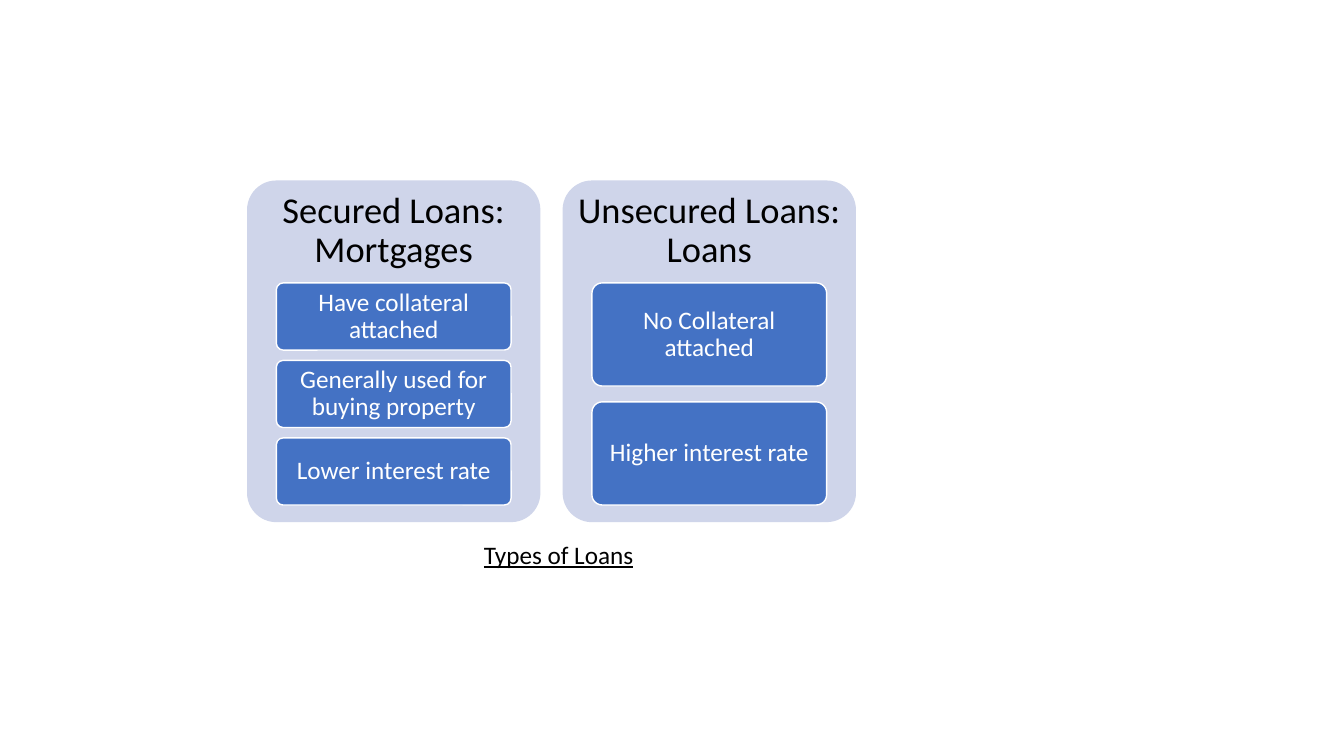
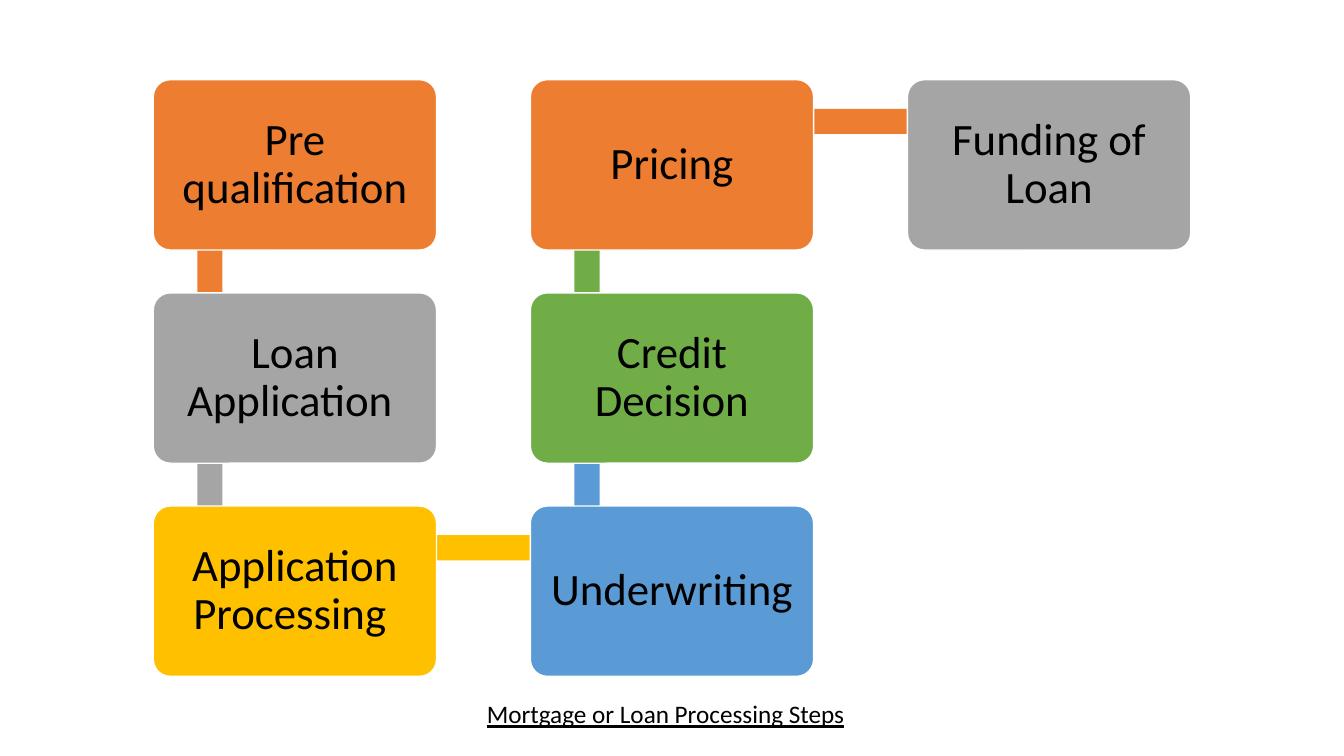
"""Build two slides: the types of loans and the loan processing steps."""
from itertools import pairwise

from pptx import Presentation
from pptx.dml.color import RGBColor
from pptx.enum.shapes import MSO_SHAPE
from pptx.enum.text import MSO_ANCHOR, MSO_AUTO_SIZE, PP_ALIGN
from pptx.util import Inches, Pt

RECTANGLE = MSO_SHAPE.RECTANGLE
ROUNDED = MSO_SHAPE.ROUNDED_RECTANGLE
TOP, MIDDLE = MSO_ANCHOR.TOP, MSO_ANCHOR.MIDDLE
CENTER = PP_ALIGN.CENTER
FIT_TEXT = MSO_AUTO_SIZE.SHAPE_TO_FIT_TEXT

BLACK = RGBColor(0x00, 0x00, 0x00)
WHITE = RGBColor(0xFF, 0xFF, 0xFF)
PALE_BLUE = RGBColor(0xCF, 0xD5, 0xEA)
BLUE = RGBColor(0x44, 0x72, 0xC4)
ORANGE = RGBColor(0xED, 0x7D, 0x31)
GRAY = RGBColor(0xA5, 0xA5, 0xA5)
GOLD = RGBColor(0xFF, 0xC0, 0x00)
SKY = RGBColor(0x5B, 0x9B, 0xD5)
GREEN = RGBColor(0x70, 0xAD, 0x47)
FONT = "Calibri"

LOAN_TYPES = [
    ("Secured Loans: Mortgages", [
        "Have collateral attached",
        "Generally used for buying property",
        "Lower interest rate",
    ]),
    ("Unsecured Loans: Loans", [
        "No Collateral attached",
        "Higher interest rate",
    ]),
]
LOAN_CAPTION = ("Types of Loans", 4.7, 5.3, 1.7)

STEPS = [
    ("Pre qualification", 0, 0, ORANGE),
    ("Loan Application ", 0, 1, GRAY),
    ("Application Processing ", 0, 2, GOLD),
    ("Underwriting", 1, 2, SKY),
    ("Credit Decision", 1, 1, GREEN),
    ("Pricing", 1, 0, ORANGE),
    ("Funding of Loan", 2, 0, GRAY),
]
STEP_CAPTION = ("Mortgage or Loan Processing Steps", 4.73, 6.88, 3.89)

PANEL_LEFT, PANEL_TOP, PANEL_WIDTH, PANEL_HEIGHT = 2.45, 1.79, 2.91, 3.39
PANEL_PITCH = 3.13
HEADING_SHARE, LIST_SHARE = 0.3, 0.65
FEATURE_GAP_SHARE = 0.154

STEP_LEFT, STEP_TOP, STEP_WIDTH, STEP_HEIGHT = 1.52, 0.79, 2.81, 1.69
STEP_PITCH_X, STEP_PITCH_Y = 3.74, 2.115
JOINT_X, JOINT_Y = 0.2 * STEP_WIDTH, 0.245 * STEP_HEIGHT
BAR = 0.25


def add_block(slide, kind, box, fill, line=None):
    shape = slide.shapes.add_shape(kind, *map(Inches, box))
    shape.shadow.inherit = False
    shape.fill.solid()
    shape.fill.fore_color.rgb = fill
    if line is None:
        shape.line.fill.background()
    else:
        shape.line.color.rgb = line
        shape.line.width = Pt(1)
    return shape


def style_font(paragraph, size, color):
    paragraph.font.name = FONT
    paragraph.font.size = Pt(size)
    paragraph.font.color.rgb = color


def add_card(slide, text, box, fill, size, color, insets, line=WHITE, anchor=MIDDLE):
    shape = add_block(slide, ROUNDED, box, fill, line)
    shape.adjustments[0] = 0.1
    frame = shape.text_frame
    frame.word_wrap = True
    frame.vertical_anchor = anchor
    frame.margin_left = frame.margin_right = Inches(insets[0])
    frame.margin_top = frame.margin_bottom = Inches(insets[1])
    paragraph = frame.paragraphs[0]
    paragraph.text = text
    paragraph.alignment = CENTER
    paragraph.line_spacing = 0.9
    style_font(paragraph, size, color)


def add_caption(slide, text, left, top, width):
    box = slide.shapes.add_textbox(*map(Inches, (left, top, width, 0.4)))
    frame = box.text_frame
    frame.word_wrap = False
    frame.auto_size = FIT_TEXT
    paragraph = frame.paragraphs[0]
    paragraph.text = text
    style_font(paragraph, 18, BLACK)
    paragraph.font.underline = True


def build_loan_types(slide):
    for column, (heading, features) in enumerate(LOAN_TYPES):
        left = PANEL_LEFT + column * PANEL_PITCH
        add_card(slide, heading, (left, PANEL_TOP, PANEL_WIDTH, PANEL_HEIGHT),
                 PALE_BLUE, 26, BLACK, (0.02, 0.03), line=None, anchor=TOP)
        count = len(features)
        height = LIST_SHARE * PANEL_HEIGHT / (count + (count - 1) * FEATURE_GAP_SHARE)
        for row, feature in enumerate(features):
            top = (PANEL_TOP + HEADING_SHARE * PANEL_HEIGHT
                   + row * height * (1 + FEATURE_GAP_SHARE))
            box = (left + 0.1 * PANEL_WIDTH, top, 0.8 * PANEL_WIDTH, height)
            add_card(slide, feature, box, BLUE, 18, WHITE, (0.05, 0.04))
    add_caption(slide, *LOAN_CAPTION)


def step_corner(column, row):
    return STEP_LEFT + column * STEP_PITCH_X, STEP_TOP + row * STEP_PITCH_Y


def build_steps(slide):
    for (_, column, row, color), (_, next_column, next_row, _) in pairwise(STEPS):
        left, top = step_corner(min(column, next_column), min(row, next_row))
        if column == next_column:
            box = (left + JOINT_X - BAR / 2, top + JOINT_Y, BAR, STEP_PITCH_Y)
        else:
            box = (left + JOINT_X, top + JOINT_Y - BAR / 2, STEP_PITCH_X, BAR)
        add_block(slide, RECTANGLE, box, color)
    for text, column, row, color in STEPS:
        box = (*step_corner(column, row), STEP_WIDTH, STEP_HEIGHT)
        add_card(slide, text, box, color, 32, BLACK, (0.13, 0.13))
    add_caption(slide, *STEP_CAPTION)


def main():
    presentation = Presentation()
    presentation.slide_width = Inches(13.33)
    presentation.slide_height = Inches(7.5)
    blank = presentation.slide_layouts[6]
    for build in (build_loan_types, build_steps):
        build(presentation.slides.add_slide(blank))
    presentation.save("out.pptx")


if __name__ == "__main__":
    main()
